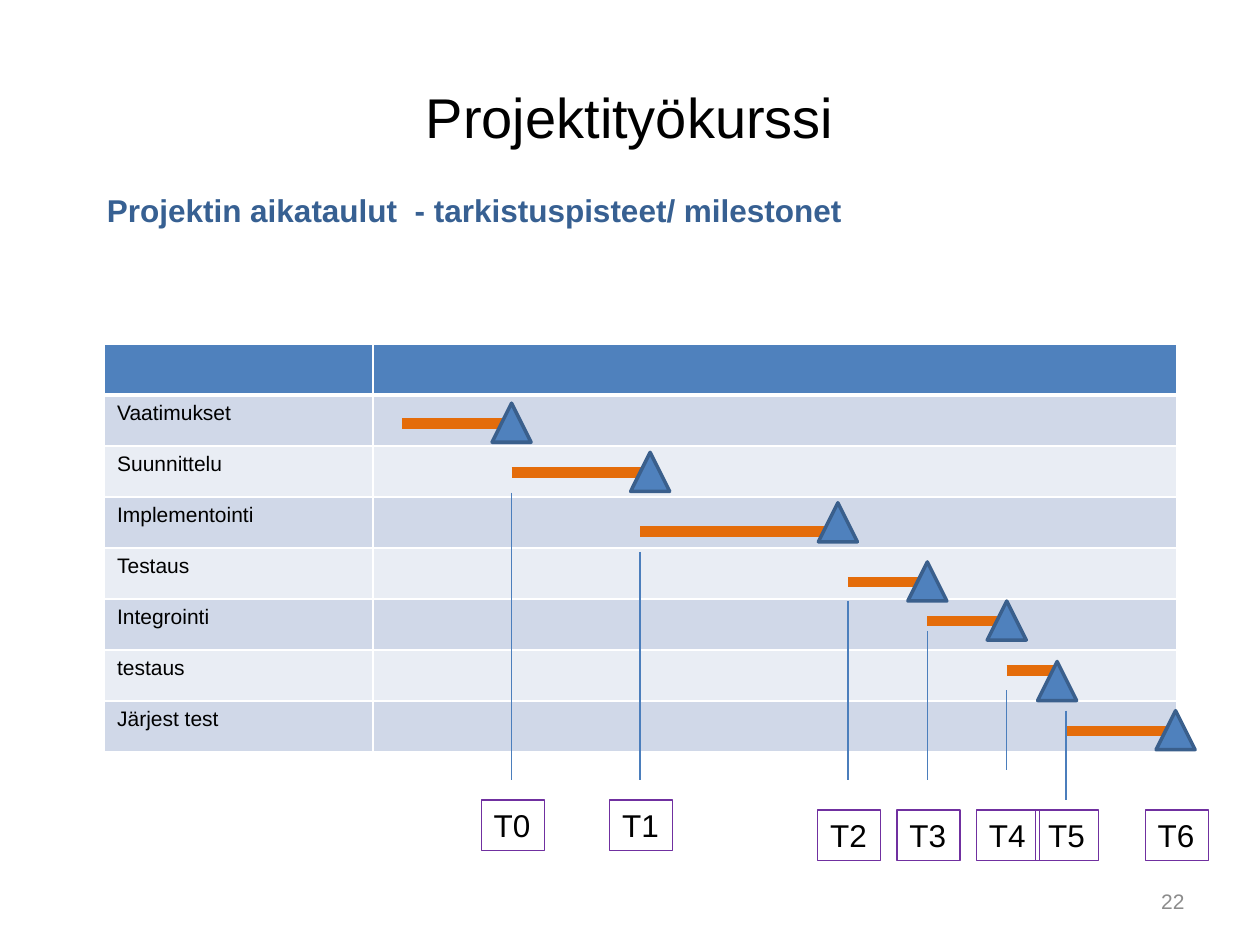
import dataclasses

import pptx
import pptx.dml.color
import pptx.enum.shapes
import pptx.enum.text
import pptx.oxml
import pptx.oxml.ns
import pptx.util
from pptx.util import Inches

COLORS = {
    "black": "000000", "white": "FFFFFF", "heading": "376092", "number": "8C8C8C",
    "header": "4F81BD", "band_dark": "D0D8E8", "band_light": "E9EDF4",
    "bar": "E46C0A", "outline": "3A5F8C", "guide": "4B7EBC", "label": "7030A0",
}
ALIGN = pptx.enum.text.PP_ALIGN
ANCHOR = pptx.enum.text.MSO_ANCHOR
SHAPE = pptx.enum.shapes.MSO_SHAPE


def rgb(name):
    return pptx.dml.color.RGBColor.from_string(COLORS[name])


def write(frame, text, size=18, color="black", bold=False, align=ALIGN.LEFT,
          anchor=ANCHOR.TOP, wrap=True):
    frame.word_wrap = wrap
    frame.vertical_anchor = anchor
    paragraph = frame.paragraphs[0]
    paragraph.alignment = align
    run = paragraph.add_run()
    run.text = text
    run.font.name = "Arial"
    run.font.size = pptx.util.Pt(size)
    run.font.bold = bold
    run.font.color.rgb = rgb(color)


@dataclasses.dataclass
class Phase:
    name: str
    start: float
    end: float
    bar_y: float
    triangle_x: float
    triangle_top: float
    milestone: float
    guide: tuple
    label_top: float


class Board:
    triangle_size = 0.31

    def __init__(self, slide):
        self.slide = slide

    def text(self, text, left, top, width, height, **style):
        box = self.slide.shapes.add_textbox(
            Inches(left), Inches(top), Inches(width), Inches(height))
        write(box.text_frame, text, **style)

    def line(self, x1, y1, x2, y2, color, width):
        connector = self.slide.shapes.add_connector(
            pptx.enum.shapes.MSO_CONNECTOR.STRAIGHT,
            Inches(x1), Inches(y1), Inches(x2), Inches(y2))
        connector.line.color.rgb = rgb(color)
        connector.line.width = pptx.util.Pt(width)
        effects = pptx.oxml.parse_xml(
            "<a:effectLst %s/>" % pptx.oxml.ns.nsdecls("a"))
        connector._element.spPr.append(effects)

    def shape(self, kind, left, top, width, height, line, line_width, fill=None):
        shape = self.slide.shapes.add_shape(
            kind, Inches(left), Inches(top), Inches(width), Inches(height))
        shape.shadow.inherit = False
        if fill:
            shape.fill.solid()
            shape.fill.fore_color.rgb = rgb(fill)
        else:
            shape.fill.background()
        shape.line.color.rgb = rgb(line)
        shape.line.width = pptx.util.Pt(line_width)
        return shape

    def triangle(self, center, top):
        size = self.triangle_size
        self.shape(SHAPE.ISOSCELES_TRIANGLE, center - size / 2, top, size, size,
                   "outline", 2, "header")

    def label(self, text, center, top):
        shape = self.shape(SHAPE.RECTANGLE, center - 0.24, top, 0.5, 0.4, "label", 0.75)
        write(shape.text_frame, text, wrap=False)

    def cell(self, cell, text, fill, bottom):
        properties = cell._tc.get_or_add_tcPr()
        for side, width in (("L", 1), ("R", 1), ("T", 1), ("B", bottom)):
            properties.append(pptx.oxml.parse_xml(
                '<a:ln%s %s w="%d"><a:solidFill><a:srgbClr val="%s"/></a:solidFill></a:ln%s>'
                % (side, pptx.oxml.ns.nsdecls("a"), pptx.util.Pt(width),
                   COLORS["white"], side)))
        cell.fill.solid()
        cell.fill.fore_color.rgb = rgb(fill)
        if text:
            write(cell.text_frame, text, size=12)

    def table(self, names, left, top, widths, row_height):
        rows = [""] + names
        table = self.slide.shapes.add_table(
            len(rows), len(widths), Inches(left), Inches(top),
            Inches(sum(widths)), Inches(row_height * len(rows))).table
        for column, width in zip(table.columns, widths):
            column.width = Inches(width)
        for index, name in enumerate(rows):
            fill = "band_dark" if index % 2 else "band_light"
            if index == 0:
                fill = "header"
            for column, text in enumerate((name, "")):
                self.cell(table.cell(index, column), text, fill, 1 if index else 3)


PHASES = [
    Phase("Vaatimukset", 3.19, 4.06, 3.36, 4.06, 3.2, 4.06, (3.91, 6.19), 6.35),
    Phase("Suunnittelu", 4.06, 5.16, 3.75, 5.16, 3.59, 5.08, (4.38, 6.19), 6.35),
    Phase("Implementointi", 5.08, 6.73, 4.22, 6.65, 3.99, 6.73, (4.77, 6.19), 6.43),
    Phase("Testaus", 6.73, 7.36, 4.62, 7.36, 4.46, 7.36, (5.01, 6.19), 6.43),
    Phase("Integrointi", 7.36, 7.99, 4.93, 7.99, 4.77, 7.99, (5.48, 6.11), 6.43),
    Phase("testaus", 7.99, 8.39, 5.32, 8.39, 5.25, 8.46, (5.64, 6.35), 6.43),
    Phase("Järjest test", 8.46, 9.33, 5.8, 9.33, 5.64, 9.33, (), 6.43),
]

presentation = pptx.Presentation()
presentation.slide_width = Inches(10)
presentation.slide_height = Inches(7.5)
board = Board(presentation.slides.add_slide(presentation.slide_layouts[6]))

board.text("Projektityökurssi", 0.5, 0.3, 9, 1.25, size=32,
           align=ALIGN.CENTER, anchor=ANCHOR.MIDDLE)
board.text("Projektin aikataulut  - tarkistuspisteet/ milestonet",
           0.75, 1.47, 9.06, 5.43, color="heading", bold=True)
board.text("22", 7.17, 6.95, 2.33, 0.4, size=12, color="number",
           align=ALIGN.RIGHT, anchor=ANCHOR.MIDDLE)
board.table([phase.name for phase in PHASES], 0.83, 2.73, (2.13, 6.38), 0.405)

for phase in PHASES:
    board.line(phase.start, phase.bar_y, phase.end, phase.bar_y, "bar", 6)
for phase in PHASES:
    board.triangle(phase.triangle_x, phase.triangle_top)
for number, phase in enumerate(PHASES):
    if phase.guide:
        top, bottom = phase.guide
        board.line(phase.milestone, top, phase.milestone, bottom, "guide", 0.75)
    board.label(f"T{number}", phase.milestone, phase.label_top)

presentation.save("out.pptx")
